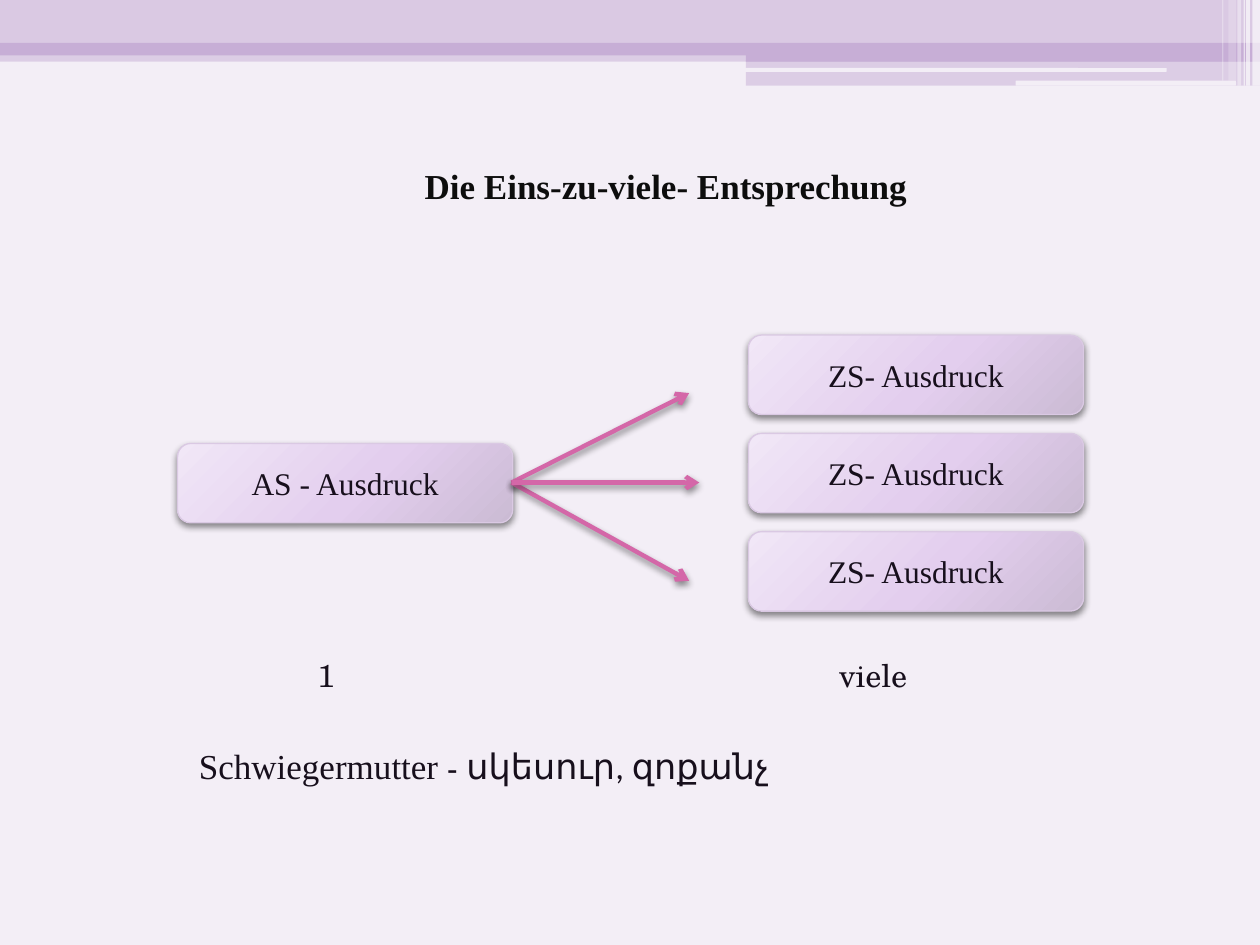
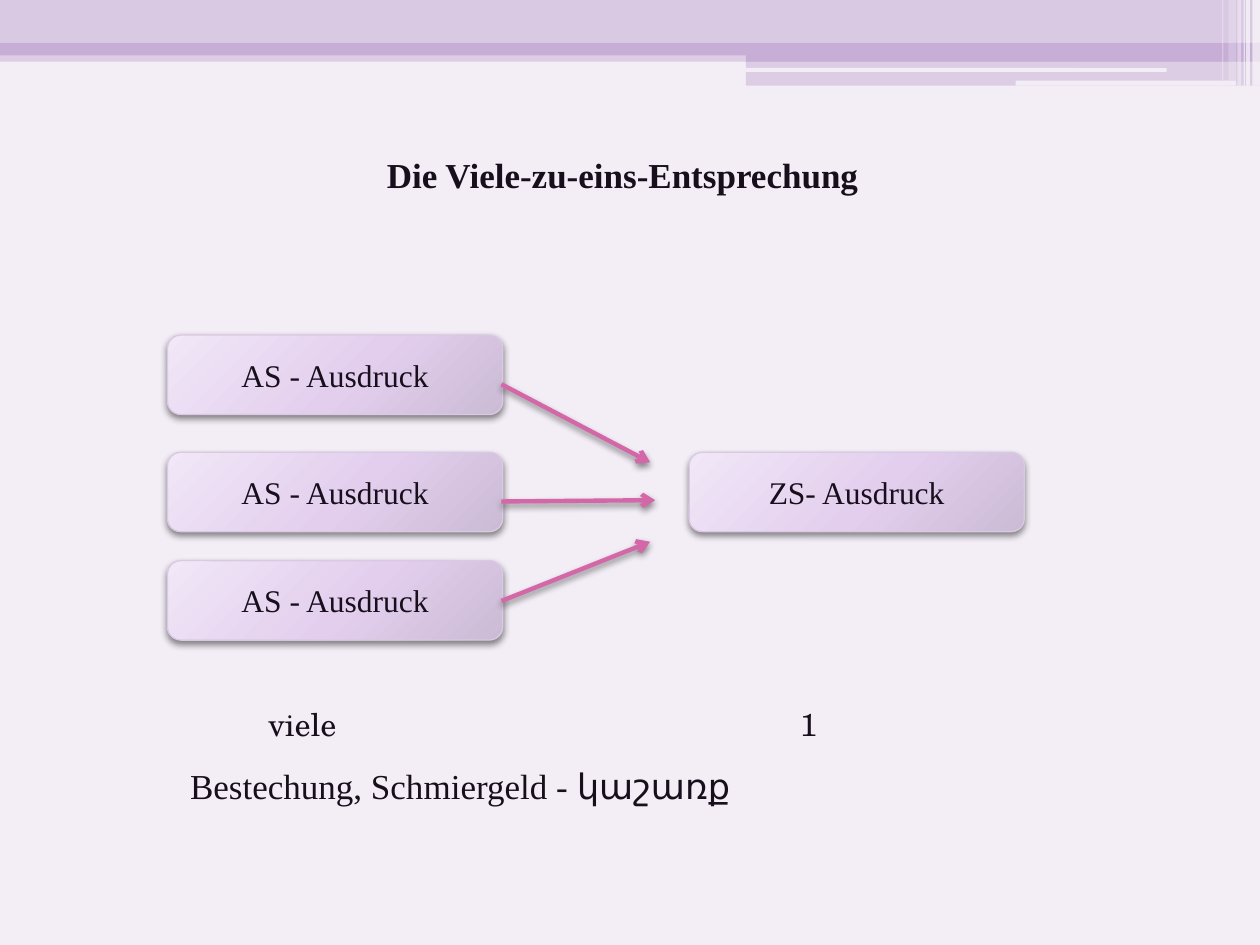
from dataclasses import dataclass

from lxml import etree
from pptx import Presentation
from pptx.dml.color import RGBColor
from pptx.enum.shapes import MSO_CONNECTOR, MSO_SHAPE
from pptx.enum.text import MSO_ANCHOR, MSO_AUTO_SIZE, PP_ALIGN
from pptx.oxml import parse_xml
from pptx.oxml.ns import nsdecls, qn
from pptx.util import Inches, Pt

RECT, ROUNDED = MSO_SHAPE.RECTANGLE, MSO_SHAPE.ROUNDED_RECTANGLE
STRAIGHT = MSO_CONNECTOR.STRAIGHT
LEFT, CENTER = PP_ALIGN.LEFT, PP_ALIGN.CENTER
TOP, MIDDLE = MSO_ANCHOR.TOP, MSO_ANCHOR.MIDDLE
FIXED, GROW = MSO_AUTO_SIZE.NONE, MSO_AUTO_SIZE.SHAPE_TO_FIT_TEXT
TITLE_ONLY = 5


@dataclass(frozen=True)
class Theme:
    """Colours, fonts and type sizes of the slides."""
    paper: str = "F3EEF6"
    pale_band: str = "DAC9E3"
    band: str = "C7AED6"
    stripe: str = "FFFFFF"
    ink: str = "170F1C"
    title_ink: str = "0D0D0D"
    arrow: str = "D467A8"
    gradient: tuple = ((0, "F1E7F7"), (55, "E3CEEE"), (100, "CBBBD4"))
    serif: str = "Times New Roman"
    label: str = "TeX Gyre Schola"
    armenian: str = "Calibri"
    large: int = 20
    normal: int = 18


THEME = Theme()
BOX_WIDTH, BOX_HEIGHT = 2.66, 0.63

# left, top, width, height, colour, opacity in percent
BANDS = (
    (0, 0.4, 10, 0.09, THEME.band, 50),
    (0, 0, 10, 0.34, THEME.pale_band, 100),
    (0, 0.34, 10, 0.1, THEME.band, 100),
    (5.92, 0.39, 4.08, 0.1, THEME.band, 100),
    (5.92, 0.48, 4.08, 0.2, THEME.band, 50),
)
GAPS = ((5.91, 0.54, 3.35, 0.03), (8.06, 0.64, 1.75, 0.04))
# left, width, height, opacity in percent
STRIPES = (
    (9.94, 0.06, 0.68, 65), (9.89, 0.03, 0.68, 65), (9.87, 0.01, 0.68, 60),
    (9.82, 0.03, 0.68, 40), (9.75, 0.06, 0.64, 20), (9.7, 0.01, 0.64, 30),
)


def inches(*lengths):
    """Turn plain numbers into lengths."""
    return [Inches(length) for length in lengths]


def rgb(colour):
    """Turn a hex string into a colour."""
    return RGBColor.from_string(colour)


class Deck:
    """Holds the style and the current slide, and draws each element."""

    def __init__(self, theme):
        self.theme = theme
        self.prs = Presentation()
        self.prs.slide_width, self.prs.slide_height = inches(10, 7.5)
        self.slide = None

    def new_slide(self):
        """Start a slide; the first one also sets up the master."""
        first = self.slide is None
        layout = self.prs.slide_layouts[TITLE_ONLY]
        self.slide = self.prs.slides.add_slide(layout)
        if first:
            self.decorate_master()

    def decorate_master(self):
        """Put the background and the top bands on the slide master."""
        master = self.prs.slide_master
        master.background.fill.solid()
        master.background.fill.fore_color.rgb = rgb(self.theme.paper)
        parts = [self.block(RECT, *band) for band in BANDS]
        parts += [self.block(ROUNDED, *gap, self.theme.paper, 100) for gap in GAPS]
        parts += [self.block(RECT, left, 0, width, height, self.theme.stripe, opacity)
                  for left, width, height, opacity in STRIPES]
        for part in parts:
            master.element.cSld.spTree.append(part.element)

    def block(self, kind, left, top, width, height, colour, opacity):
        """Draw a flat shape without outline."""
        block = self.slide.shapes.add_shape(kind, *inches(left, top, width, height))
        block.shadow.inherit = False
        block.line.fill.background()
        block.fill.solid()
        block.fill.fore_color.rgb = rgb(colour)
        if opacity < 100:
            tint = block.element.spPr.find(".//" + qn("a:srgbClr"))
            etree.SubElement(tint, qn("a:alpha"), val=str(opacity * 1000))
        return block

    def fill_text(self, frame, runs, align=LEFT, bold=False, colour=None):
        """Fill a frame with one paragraph of (text, font, size) runs."""
        frame.word_wrap = True
        paragraph = frame.paragraphs[0]
        paragraph.alignment = align
        for words, face, size in runs:
            run = paragraph.add_run()
            run.text = words
            font = (paragraph if len(runs) == 1 else run).font
            font.name, font.size, font.bold = face, Pt(size), bold
            font.color.rgb = rgb(colour or self.theme.ink)

    def title(self, words, top, height, anchor, indent=0.1, colour=None):
        """Move the title placeholder and fill it."""
        title = self.slide.shapes.title
        title.left, title.top, title.width, title.height = inches(2.97, top, 4.69, height)
        frame = title.text_frame
        frame.auto_size = FIXED
        frame.vertical_anchor = anchor
        frame.margin_left = Inches(indent)
        self.fill_text(frame, [(words, self.theme.serif, self.theme.large)],
                       bold=True, colour=colour)

    def cast_shadow(self, shape):
        """Give a shape or connector a soft shadow below it."""
        props = shape.element.spPr
        for effects in props.findall(qn("a:effectLst")):
            props.remove(effects)
        props.append(parse_xml(
            f'<a:effectLst {nsdecls("a")}><a:outerShdw blurRad="{Pt(4)}" dist="{Pt(2)}" '
            'dir="5400000" rotWithShape="0"><a:srgbClr val="000000"><a:alpha val="45000"/>'
            '</a:srgbClr></a:outerShdw></a:effectLst>'))

    def box(self, words, left, top):
        """Draw a rounded term box with a gradient."""
        box = self.slide.shapes.add_shape(
            ROUNDED, *inches(left, top, BOX_WIDTH, BOX_HEIGHT))
        box.line.color.rgb = rgb(self.theme.pale_band)
        box.line.width = Pt(0.75)
        box.fill.solid()
        stops = "".join(f'<a:gs pos="{place * 1000}"><a:srgbClr val="{colour}"/></a:gs>'
                        for place, colour in self.theme.gradient)
        props = box.element.spPr
        props.replace(props.find(qn("a:solidFill")), parse_xml(
            f'<a:gradFill {nsdecls("a")} rotWithShape="1"><a:gsLst>{stops}</a:gsLst>'
            '<a:path path="circle"><a:fillToRect l="-40000" t="-90000" r="140000" '
            'b="190000"/></a:path></a:gradFill>'))
        self.cast_shadow(box)
        box.text_frame.vertical_anchor = MIDDLE
        self.fill_text(box.text_frame, [(words, self.theme.serif, self.theme.normal)], CENTER)

    def arrow(self, start, end):
        """Draw an arrow between two points."""
        arrow = self.slide.shapes.add_connector(STRAIGHT, *inches(*start, *end))
        arrow.line.color.rgb = rgb(self.theme.arrow)
        arrow.line.width = Pt(2.5)
        etree.SubElement(arrow.get_or_add_ln(), qn("a:tailEnd"), type="arrow")
        self.cast_shadow(arrow)

    def text(self, runs, left, top, width, height):
        """Add a text box."""
        area = self.slide.shapes.add_textbox(*inches(left, top, width, height))
        area.text_frame.auto_size = GROW
        self.fill_text(area.text_frame, runs)

    def count(self, words, left, top, width):
        """Add the count under one side of the diagram."""
        self.text([(words, self.theme.label, self.theme.normal)], left, top, width, 0.4)


def one_to_many(deck):
    """Build the slide on one source term with many target terms."""
    theme = deck.theme
    deck.new_slide()
    deck.title("Die Eins-zu-viele- Entsprechung", 1.25, 0.44, MIDDLE, 0.4, theme.title_ink)
    deck.box("AS - Ausdruck", 1.41, 3.52)
    for row in range(3):
        deck.box("ZS- Ausdruck", 5.94, 2.66 + 0.78 * row)
    for end in ((5.47, 3.12), (5.47, 4.61), (5.55, 3.83)):
        deck.arrow((4.06, 3.83), end)
    deck.count("1", 2.42, 5.16, 0.55)
    deck.count("viele", 6.56, 5.16, 0.86)
    deck.text([("Schwiegermutter ", theme.serif, theme.large),
               ("- ", theme.label, theme.normal),
               ("սկեսուր, զոքանչ", theme.armenian, theme.large)], 1.48, 5.86, 4.92, 0.44)


def many_to_one(deck):
    """Build the slide on many source terms with one target term."""
    theme = deck.theme
    deck.new_slide()
    deck.title("Die Viele-zu-eins-Entsprechung", 1.17, 0.7, TOP)
    for top in (2.66, 3.59, 4.45):
        deck.box("AS - Ausdruck", 1.33, top)
    for start, end in ((3.05, (5.16, 3.67)), (3.98, (5.2, 3.97)), (4.77, (5.16, 4.3))):
        deck.arrow((3.98, start), end)
    deck.box("ZS- Ausdruck", 5.47, 3.59)
    deck.count("viele", 2.03, 5.55, 1.17)
    deck.count("1", 6.25, 5.55, 0.7)
    deck.text([("Bestechung, Schmiergeld - ", theme.serif, theme.large),
               ("կաշառք", theme.armenian, theme.large)], 1.41, 6.02, 4.61, 0.44)


deck = Deck(THEME)
one_to_many(deck)
many_to_one(deck)
deck.prs.save("out.pptx")
